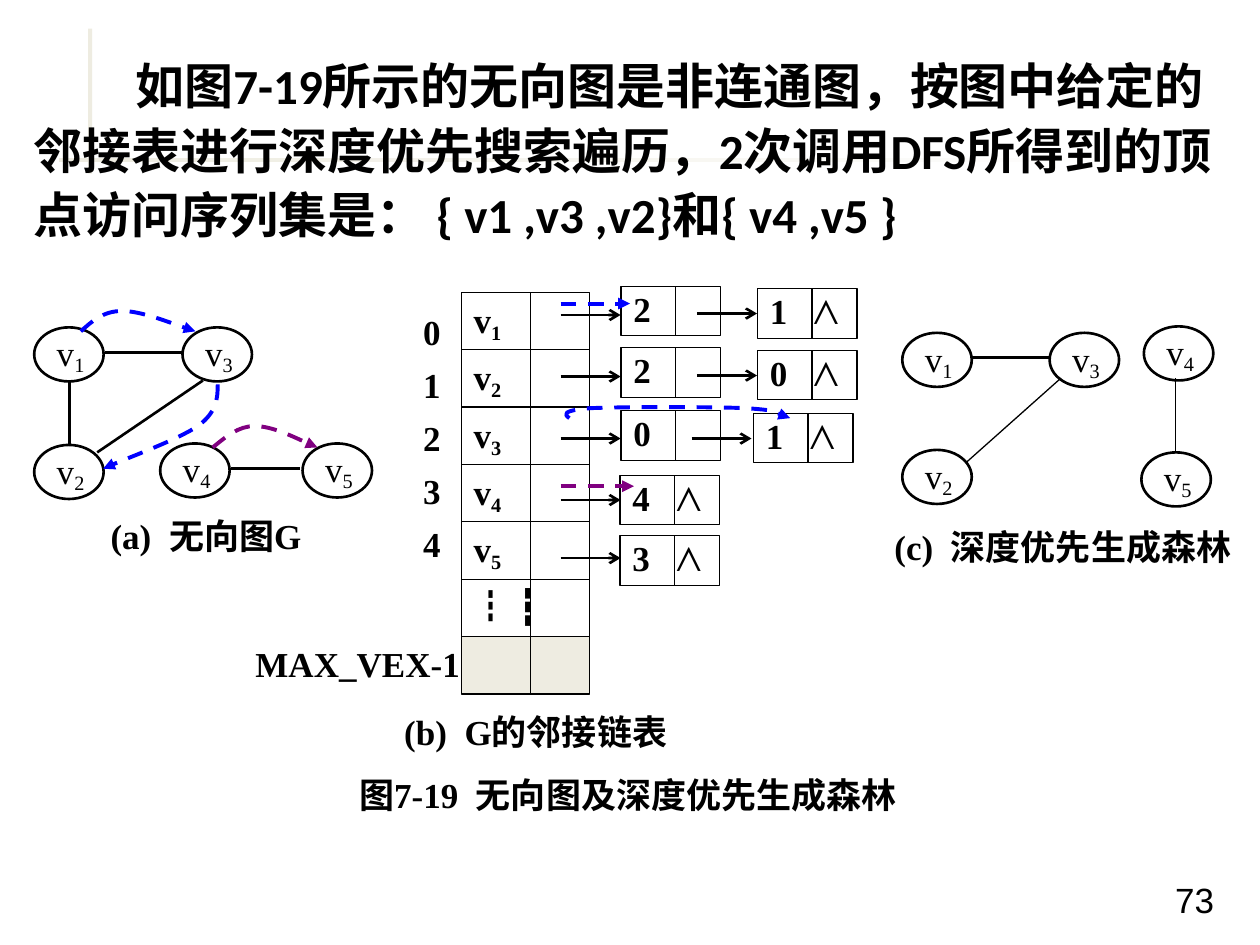
"""Builds a slide on depth-first traversal of an unconnected graph."""
from lxml import etree
from pptx import Presentation
from pptx.dml.color import RGBColor
from pptx.enum.dml import MSO_LINE
from pptx.enum.shapes import MSO_CONNECTOR, MSO_SHAPE
from pptx.enum.text import MSO_ANCHOR, MSO_AUTO_SIZE, PP_ALIGN
from pptx.oxml.ns import qn
from pptx.util import Cm, Pt

BLACK = RGBColor(0x00, 0x00, 0x00)
WHITE = RGBColor(0xFF, 0xFF, 0xFF)
IVORY = RGBColor(0xEE, 0xEC, 0xE1)
BLUE = RGBColor(0x00, 0x00, 0xFF)
PURPLE = RGBColor(0x80, 0x00, 0x80)
RECTANGLE, OVAL = MSO_SHAPE.RECTANGLE, MSO_SHAPE.OVAL
STRAIGHT = MSO_CONNECTOR.STRAIGHT
DASH = MSO_LINE.DASH
LEFT = PP_ALIGN.LEFT
TOP, MIDDLE = MSO_ANCHOR.TOP, MSO_ANCHOR.MIDDLE
NO_AUTOFIT = MSO_AUTO_SIZE.NONE
SERIF, SANS, BODY, CHINESE = "Times New Roman", "Arial", "Calibri", "Noto Sans CJK SC"

INTRO = ("如图7-19所示的无向图是非连通图，按图中给定的邻接表进行深度优先搜索遍历，"
         "2次调用DFS所得到的顶点访问序列集是： { v1 ,v3 ,v2}和{ v4 ,v5 }")
GRAPH_NODES = [(1, 0.69, 6.6), (2, 0.69, 8.97), (3, 3.68, 6.6), (4, 3.23, 8.94), (5, 6.1, 8.94)]
FOREST_NODES = [(1, 18.19, 6.71), (2, 18.19, 9.07), (3, 21.16, 6.71),
                (4, 23.06, 6.58), (5, 23.01, 9.12)]
EDGES = [
    (1.4, 7.7, 1.4, 8.97, 1.5), (1.96, 9.12, 4.09, 7.67, 1.5),
    (2.11, 7.11, 3.71, 7.11, 1.5), (4.65, 9.45, 6.05, 9.45, 1.5),
    (19.58, 7.21, 21.18, 7.21, 1.5), (21.39, 7.62, 19.48, 9.32, 0.75),
    (23.7, 7.62, 23.7, 9.12, 0.75),
]
VISITS = [
    (BLUE, [(1.63, 6.68), (1.85, 6.48), (2.08, 6.27), (2.46, 6.27),
            (2.84, 6.27), (3.68, 6.6), (3.94, 6.68)]),
    (BLUE, [(4.39, 7.75), (4.39, 8.03), (4.37, 8.31), (3.99, 8.59),
            (3.58, 8.86), (2.39, 9.3), (2.08, 9.45)]),
    (PURPLE, [(4.29, 9.02), (4.55, 8.81), (4.8, 8.59), (5.13, 8.59),
              (5.49, 8.59), (6.2, 8.94), (6.4, 9.02)]),
    (BLUE, [(11.48, 8.43), (11.38, 8.36), (11.3, 8.28), (11.89, 8.23), (12.5, 8.2),
            (14.4, 8.2), (15.06, 8.23), (15.75, 8.28), (15.77, 8.41), (15.93, 8.43)]),
]
LIST_CELLS = [
    (12.52, 5.77, "2", False), (15.27, 5.82, "1", True),
    (12.52, 7.01, "2", False), (15.27, 7.06, "0", True),
    (12.52, 8.28, "0", False), (15.19, 8.33, "1", True),
    (12.5, 9.58, "4", True), (12.5, 10.8, "3", True),
]
POINTERS = [(11.3, y) for y in (6.35, 7.59, 8.84, 10.08, 11.25)]
POINTERS += [(14.05, 6.32), (14.05, 7.57), (13.94, 8.84)]
CAPTIONS = [
    (1.98, 10.41, 5, 0.89, "(a)  无向图G"),
    (7.9, 14.35, 6.6, 0.89, "(b)  G的邻接链表"),
    (17.78, 10.62, 7.6, 0.89, "(c)  深度优先生成森林"),
    (6.99, 15.62, 12.4, 0.89, "图7-19  无向图及深度优先生成森林"),
    (4.9, 12.93, 4.8, 0.99, "MAX_VEX-1"),
]


class SlideBuilder:
    """Draws styled elements on the current slide."""

    def __init__(self, presentation):
        self.slide = presentation.slides.add_slide(presentation.slide_layouts[1])
        self.shapes = self.slide.shapes
        title = self.shapes.title
        title.element.getparent().remove(title.element)

    def run(self, paragraph, text, size=20, font=SERIF, bold=True, baseline=0, east=None):
        run = paragraph.add_run()
        run.text = text
        run.font.size, run.font.name, run.font.bold = Pt(size), font, bold
        run.font.color.rgb = BLACK
        properties = run.font._element
        etree.SubElement(properties, qn("a:ea")).set("typeface", east or font)
        if baseline:
            properties.set("baseline", str(baseline * 1000))

    def paragraph(self, frame, spacing=0.9, first=True):
        paragraph = frame.paragraphs[0] if first else frame.add_paragraph()
        paragraph.alignment = LEFT
        paragraph.line_spacing = spacing
        paragraph.space_before = Pt(0 if first else 4)
        return paragraph

    def body(self, text):
        body = self.slide.placeholders[1]
        self.shapes._spTree.append(body._element)
        body.left, body.top, body.width, body.height = Cm(0.43), Cm(0.87), Cm(24.49), Cm(4.3)
        body.text_frame.auto_size = NO_AUTOFIT
        body.text_frame.vertical_anchor = TOP
        paragraph = self.paragraph(body.text_frame, 1.1)
        properties = paragraph._p.get_or_add_pPr()
        properties.set("marL", "0")
        properties.set("indent", str(Cm(2.05)))
        etree.SubElement(properties, qn("a:buNone"))
        self.run(paragraph, text, 28, BODY)

    def label(self, left, top, width, height, lines, spacing=0.9, **style):
        box = self.shapes.add_textbox(Cm(left), Cm(top), Cm(width), Cm(height))
        box.text_frame.word_wrap = True
        box.text_frame.margin_right = 0
        box.text_frame.vertical_anchor = MIDDLE
        for number, line in enumerate(lines):
            self.run(self.paragraph(box.text_frame, spacing, number == 0), line, **style)

    def shape(self, kind, left, top, width, height, fill=None, line=0.75):
        shape = self.shapes.add_shape(kind, Cm(left), Cm(top), Cm(width), Cm(height))
        shape.shadow.inherit = False
        if fill is None:
            shape.fill.background()
        else:
            shape.fill.solid()
            shape.fill.fore_color.rgb = fill
        if line:
            shape.line.color.rgb = BLACK
            shape.line.width = Pt(line)
        else:
            shape.line.fill.background()
        shape.text_frame.vertical_anchor = MIDDLE
        return shape

    def fading_bar(self, left, top, width, height):
        bar = self.shape(RECTANGLE, left, top, width, height, line=0)
        bar.fill.gradient()
        bar.fill.gradient_angle = 0
        for stop, color in zip(bar.fill.gradient_stops, (IVORY, WHITE)):
            stop.color.rgb = color

    def node(self, number, left, top):
        oval = self.shape(OVAL, left, top, 1.4, 1.09, line=1.5)
        oval.text_frame.word_wrap = False
        paragraph = self.paragraph(oval.text_frame)
        self.run(paragraph, "v", bold=False)
        self.run(paragraph, str(number), bold=False, baseline=-18)

    def cell(self, left, top, width, height, split, fill=None):
        box = self.shape(RECTANGLE, left, top, width, height, fill)
        box.text_frame.word_wrap = True
        box.text_frame.margin_right = 0
        self.line(left + split, top, left + split, top + height, 0.75)
        return self.paragraph(box.text_frame)

    def list_cell(self, left, top, index, is_last):
        paragraph = self.cell(left, top, 2.01, 1, 1.1)
        self.run(paragraph, index)
        if is_last:
            tabs = etree.SubElement(paragraph._p.get_or_add_pPr(), qn("a:tabLst"))
            etree.SubElement(tabs, qn("a:tab"), pos=str(Cm(0.88)), algn="l")
            self.run(paragraph, "\t⋀", bold=False)

    def stroke(self, line, width, color, arrow=None, dashed=False):
        line.color.rgb = color
        line.width = Pt(width)
        if dashed:
            line.dash_style = DASH
        if arrow:
            etree.SubElement(line._get_or_add_ln(), qn("a:tailEnd"), type=arrow)

    def line(self, x1, y1, x2, y2, width=1.5, color=BLACK, arrow=None, dashed=False):
        line = self.shapes.add_connector(STRAIGHT, Cm(x1), Cm(y1), Cm(x2), Cm(y2))
        self.stroke(line.line, width, color, arrow, dashed)
        etree.SubElement(line._element.spPr, qn("a:effectLst"))

    def curve(self, color, points):
        start, *controls = [(Cm(x), Cm(y)) for x, y in points]
        builder = self.shapes.build_freeform(*start)
        builder.add_line_segments(controls, close=False)
        curve = builder.convert_to_shape()
        curve.shadow.inherit = False
        curve.fill.background()
        self.stroke(curve.line, 2.25, color, "triangle", True)
        outline = next(curve._element.iter(qn("a:path")))
        segments = outline.findall(qn("a:lnTo"))
        for first in range(0, len(segments), 3):
            bezier = etree.SubElement(outline, qn("a:cubicBezTo"))
            for segment in segments[first:first + 3]:
                bezier.append(segment[0])
                outline.remove(segment)


def main():
    presentation = Presentation()
    presentation.slide_width, presentation.slide_height = Cm(25.4), Cm(19.05)
    builder = SlideBuilder(presentation)
    builder.shape(RECTANGLE, 1.78, 0.58, 0.08, 2.92, IVORY, 0)
    builder.fading_bar(1.19, 3.18, 22.86, 0.08)
    builder.body(INTRO)
    builder.label(23.44, 17.68, 1.95, 1.02, ["73"], font=SANS, bold=False)
    for *box, text in CAPTIONS:
        builder.label(*box, [text], east=CHINESE)
    builder.label(8.28, 5.84, 0.99, 5.87, list("01234"), 1.1)

    for node in GRAPH_NODES + FOREST_NODES:
        builder.node(*node)
    for edge in EDGES:
        builder.line(*edge)

    row_height = 8.1 / 7
    for row in range(7):
        fill = IVORY if row == 6 else None
        paragraph = builder.cell(9.3, 5.89 + row * row_height, 2.59, row_height, 1.4, fill)
        if row < 5:
            builder.run(paragraph, "v")
            builder.run(paragraph, str(row + 1), baseline=-20)
        elif row == 5:
            builder.run(paragraph, "┇", font=CHINESE)
            builder.run(paragraph, " ┇")
    for cell in LIST_CELLS:
        builder.list_cell(*cell)
    for left, y in POINTERS:
        builder.line(left, y, left + 1.21, y, arrow="arrow")

    for visit in VISITS:
        builder.curve(*visit)
    for right, y, color in ((12.7, 6.12, BLUE), (12.78, 9.8, PURPLE)):
        builder.line(11.3, y, right, y, 2.25, color, "triangle", True)
    presentation.save("out.pptx")


if __name__ == "__main__":
    main()
